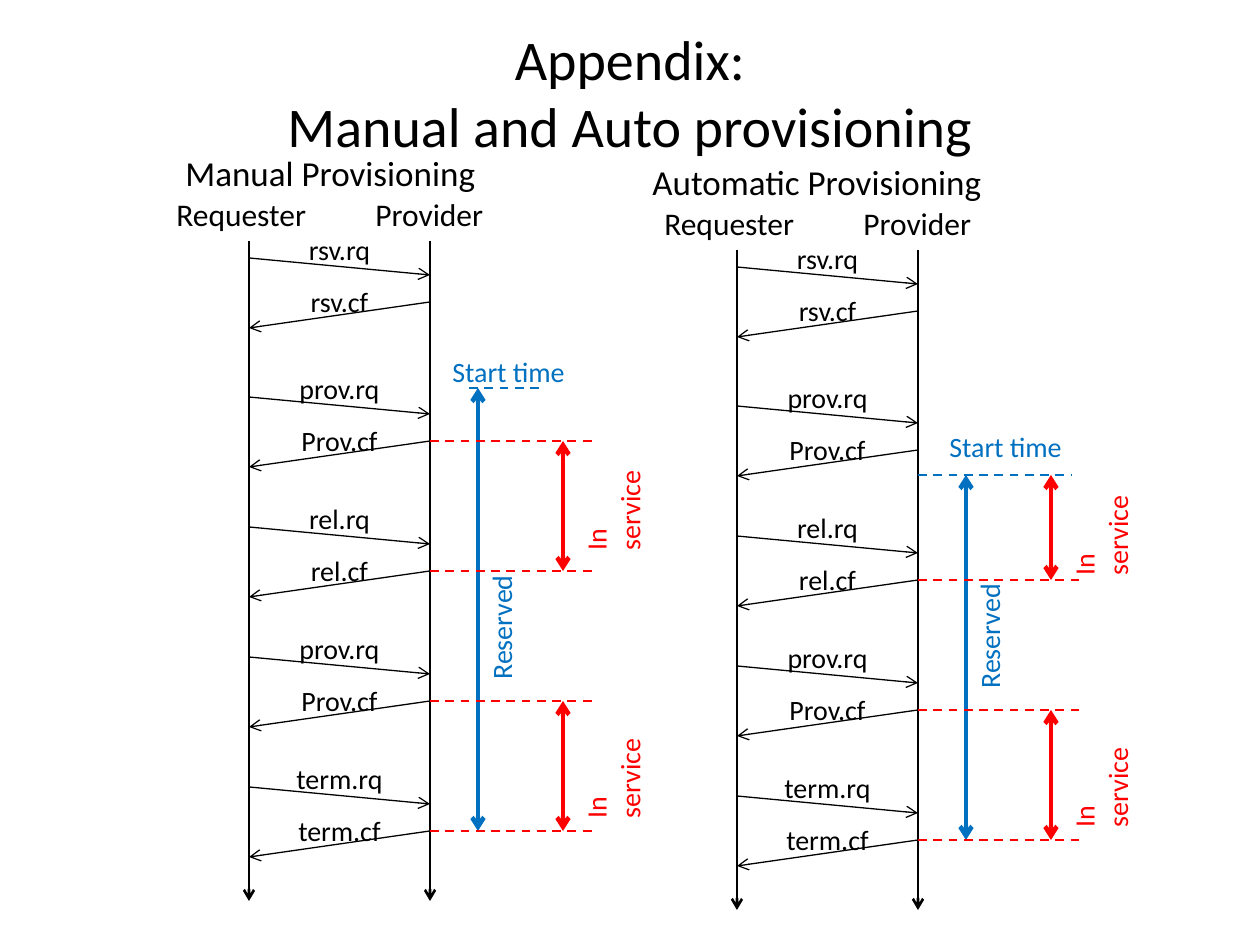
"""Builds the slide comparing manual and automatic provisioning sequences."""
from lxml import etree
from pptx import Presentation
from pptx.dml.color import RGBColor
from pptx.enum.dml import MSO_LINE
from pptx.enum.shapes import MSO_CONNECTOR
from pptx.enum.text import MSO_ANCHOR, MSO_AUTO_SIZE, PP_ALIGN
from pptx.oxml.ns import qn
from pptx.util import Pt

LEFT, MID = PP_ALIGN.LEFT, PP_ALIGN.CENTER
TOP, HALF = MSO_ANCHOR.TOP, MSO_ANCHOR.MIDDLE
GROW, FIXED = MSO_AUTO_SIZE.SHAPE_TO_FIT_TEXT, MSO_AUTO_SIZE.NONE
DASH, LINE = MSO_LINE.DASH, MSO_CONNECTOR.STRAIGHT
PX = 914400 / 126
INK = {"black": "000000", "blue": "0070C0", "red": "FF0000"}

deck = Presentation()
deck.slide_width, deck.slide_height = round(1260 * PX), round(945 * PX)
slide = deck.slides.add_slide(deck.slide_layouts[6])


def write(text, x, y, w, h, size=16, ink="black", align=LEFT,
          anchor=TOP, fit=GROW, wrap=True, spin=0):
    box = slide.shapes.add_textbox(*(round(n * PX) for n in (x, y, w, h)))
    box.rotation = spin
    frame = box.text_frame
    frame.word_wrap = wrap
    frame.auto_size = fit
    frame.vertical_anchor = anchor
    para = frame.paragraphs[0]
    para.text = text
    para.alignment = align
    para.font.name = "Calibri"
    para.font.size = Pt(size)
    para.font.color.rgb = RGBColor.from_string(INK[ink])


def draw(x1, y1, x2, y2, width=0.75, ink="black", ends=(), dash=None):
    link = slide.shapes.add_connector(
        LINE, *(round(n * PX) for n in (x1, y1, x2, y2)))
    link.line.width = Pt(width)
    link.line.color.rgb = RGBColor.from_string(INK[ink])
    if dash:
        link.line.dash_style = dash
    for end in ends:
        etree.SubElement(link.line._get_or_add_ln(), qn(f"a:{end}"), type="arrow")
    etree.SubElement(link._element.spPr, qn("a:effectLst"))


TAIL, BOTH = ("tailEnd",), ("headEnd", "tailEnd")
steps = [("rsv", "rsv", 258), ("prov", "Prov", 397), ("rel", "rel", 527),
         ("prov", "Prov", 657), ("term", "term", 787)]
panels = [
    dict(name="Manual Provisioning", x=0, y=0, head=173, wide=353, start=388,
         dash=(469, 544), time=(440, 348), first=441, marks=(441, 571, 701, 831),
         notes=(475, 743)),
    dict(name="Automatic Provisioning", x=488, y=9, head=152, wide=368, start=466,
         dash=(430, 583), time=(449, 414), first=466, marks=(571, 701, 831),
         notes=(491, 743)),
]

for panel in panels:
    dx, dy = panel["x"], panel["y"]
    near, far = 249 + dx, 430 + dx
    for x in (near, far):
        draw(x, 241 + dy, x, 901 + dy, width=1.5, ends=TAIL)
    for ask, reply, row in steps:
        y = row + dy
        draw(near, y, far, y + 17, ends=TAIL)
        draw(far, y + 44, near, y + 70, ends=TAIL)
        write(f"{ask}.rq", 278 + dx, y - 32, 123, 41, align=MID)
        write(f"{reply}.cf", 278 + dx, y + 20, 123, 41, align=MID)

    start = panel["start"] + dy
    draw(478 + dx, start, 478 + dx, 831 + dy, width=2.5, ink="blue", ends=BOTH)
    begin, stop = panel["dash"]
    draw(begin + dx, start, stop + dx, start, width=1.25, ink="blue", dash=DASH)
    for mark in panel["marks"]:
        draw(far, mark + dy, 592 + dx, mark + dy, width=1.25, ink="red", dash=DASH)
    for top, end in ((panel["first"], 571), (701, 831)):
        draw(563 + dx, top + dy, 563 + dx, end + dy, width=2.5, ink="red", ends=BOTH)

    x, y = panel["time"]
    write("Start time", x + dx, y + dy, 161, 41, ink="blue")
    write("Requester", 164 + dx, 189 + dy, 161, 44, size=18)
    write("Provider", 363 + dx, 189 + dy, 163, 44, size=18)
    for y in panel["notes"]:
        write("In service", 530 + dx, y + dy, 130, 45, ink="red", wrap=False, spin=270)
    write("Reserved", 435 + dx, 605 + dy, 130, 44, ink="blue", wrap=False, spin=270)
    write(panel["name"], panel["head"] + dx, 145 + dy, panel["wide"], 48, size=20)

write("Appendix:\nManual and Auto provisioning", 63, 38, 1134, 107,
      size=32, align=MID, anchor=HALF, fit=FIXED)
deck.save("out.pptx")
